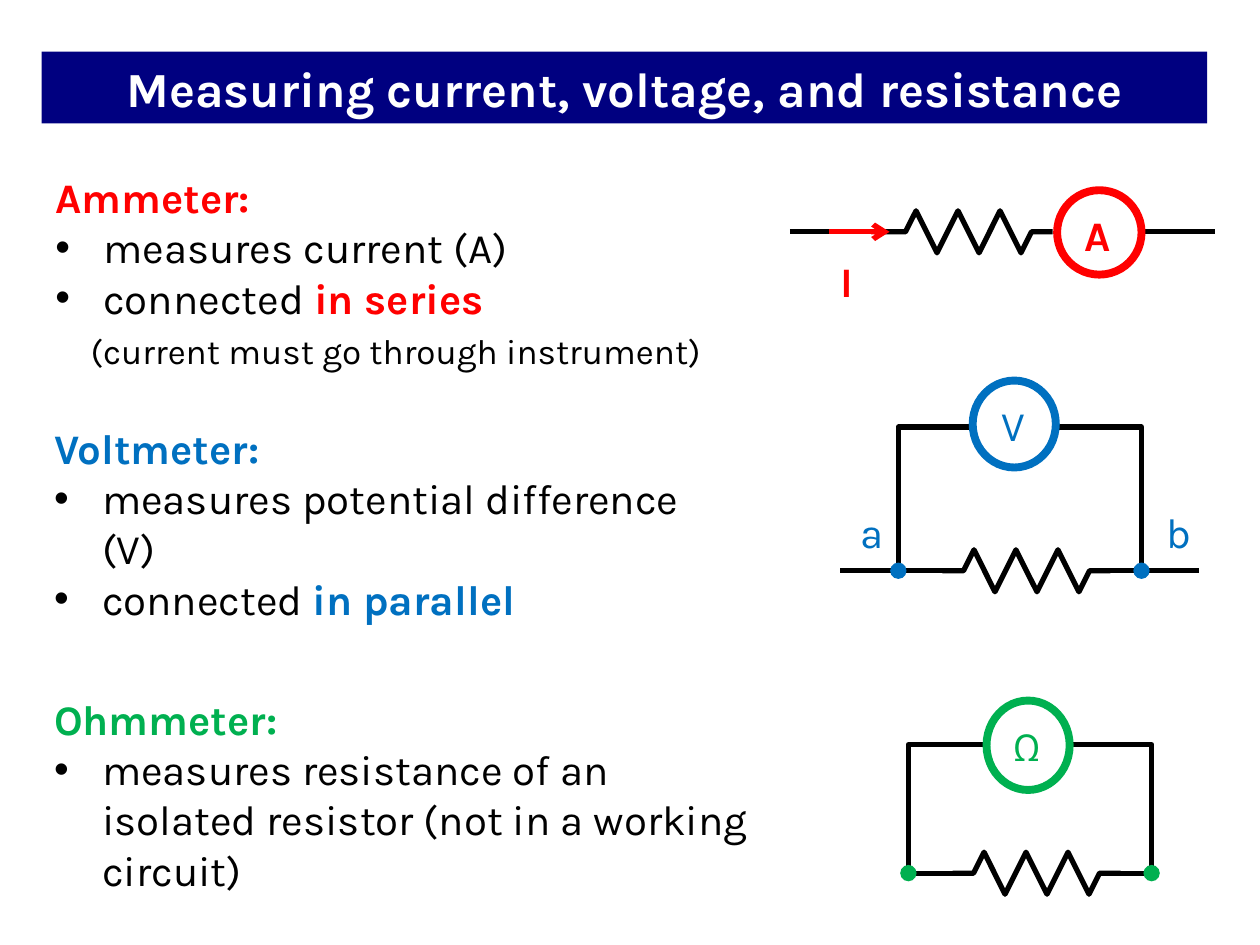
from dataclasses import dataclass

from lxml import etree
from pptx import Presentation
from pptx import util as u
from pptx.dml.color import RGBColor
from pptx.enum import shapes, text
from pptx.oxml import ns


@dataclass(frozen=True)
class Theme:
    font: str = "Karla"
    ink: str = "000000"
    paper: str = "FFFFFF"
    banner: str = "000080"
    ammeter: str = "FF0000"
    voltmeter: str = "0070C0"
    ohmmeter: str = "00B050"
    title_size: int = 28
    text_size: int = 24
    note_size: int = 20
    wire: float = 3
    ring: float = 4.5


THEME = Theme()
CELL = u.Inches(0.1)  # the slide is a grid of 100 columns by 75 rows
COLUMNS, ROWS = 100, 75
INDENT = u.Inches(0.38)
NODE_SPAN = 19.3  # columns between the two nodes of a parallel circuit
ZIGZAG_X = (0, 2, 3, 5, 7, 9, 11, 13, 14, 16)
ZIGZAG_Y = (0, 0, -1, 1, -1, 1, -1, 1, 0, 0)
ZIGZAG_COLUMN, ZIGZAG_ROW = 5 / 6, 5 / 3
ZIGZAG_WIDTH = ZIGZAG_X[-1] * ZIGZAG_COLUMN


def cells(*counts):
    return [u.Emu(round(count * CELL)) for count in counts]


def color(value):
    return RGBColor.from_string(value)


def style_run(run, size, ink, bold=False):
    run.font.name = THEME.font
    run.font.size = u.Pt(size)
    run.font.bold = bold
    run.font.color.rgb = color(ink)


def style_line(shape, ink, width):
    shape.line.color.rgb = color(ink)
    shape.line.width = u.Pt(width)


# Text
def place(shape, box):
    shape.left, shape.top, shape.width, shape.height = cells(*box)


def add_title(slide, wording, box):
    title = slide.shapes.title
    place(title, box)
    title.fill.solid()
    title.fill.fore_color.rgb = color(THEME.banner)
    frame = title.text_frame
    frame.text = wording
    frame.word_wrap = True
    frame.auto_size = text.MSO_AUTO_SIZE.NONE
    frame.vertical_anchor = text.MSO_ANCHOR.MIDDLE
    frame.paragraphs[0].alignment = text.PP_ALIGN.CENTER
    style_run(frame.paragraphs[0].runs[0], THEME.title_size, THEME.paper, True)


def set_bullet(paragraph, margin, bullet=None):
    properties = paragraph._p.get_or_add_pPr()
    properties.set("marL", str(margin))
    properties.set("indent", str(-margin if bullet else 0))
    if bullet:
        font = etree.SubElement(properties, ns.qn("a:buFont"))
        font.set("typeface", "Arial")
        etree.SubElement(properties, ns.qn("a:buChar")).set("char", bullet)
    else:
        etree.SubElement(properties, ns.qn("a:buNone"))


def add_line(paragraph, plain, strong, ink, size=THEME.text_size):
    paragraph.alignment = text.PP_ALIGN.LEFT
    paragraph.space_before = u.Pt(0)
    for wording, run_ink, bold in ((plain, THEME.ink, False), (strong, ink, True)):
        if wording:
            run = paragraph.add_run()
            run.text = wording
            style_run(run, size, run_ink, bold)


def add_list(placeholder, box, ink, heading, items, note=None):
    place(placeholder, box)
    frame = placeholder.text_frame
    frame.word_wrap = True
    frame.auto_size = text.MSO_AUTO_SIZE.NONE
    frame.vertical_anchor = text.MSO_ANCHOR.TOP
    set_bullet(frame.paragraphs[0], 0)
    add_line(frame.paragraphs[0], "", heading, ink)
    for plain, strong in items:
        paragraph = frame.add_paragraph()
        set_bullet(paragraph, INDENT, "•")
        add_line(paragraph, plain, strong, ink)
    if note:
        paragraph = frame.add_paragraph()
        set_bullet(paragraph, u.Inches(0.28))
        add_line(paragraph, note, "", ink, THEME.note_size)
        paragraph.space_before = u.Pt(4)


def add_label(slide, wording, box, ink, bold=False):
    frame = slide.shapes.add_textbox(*cells(*box)).text_frame
    frame.text = wording
    frame.word_wrap = False
    frame.paragraphs[0].alignment = text.PP_ALIGN.CENTER
    style_run(frame.paragraphs[0].runs[0], THEME.text_size, ink, bold)


# Circuit parts
def add_wire(slide, start, end, row, ink=THEME.ink, arrow=False):
    wire = slide.shapes.add_connector(
        shapes.MSO_CONNECTOR.STRAIGHT, *cells(start, row, end, row))
    style_line(wire, ink, THEME.wire)
    if arrow:
        head = etree.SubElement(wire.line._get_or_add_ln(), ns.qn("a:tailEnd"))
        head.set("type", "arrow")
    etree.SubElement(wire._element.spPr, ns.qn("a:effectLst"))


def add_outline(slide, points):
    start, *rest = [cells(*point) for point in points]
    builder = slide.shapes.build_freeform(*start, scale=1.0)
    builder.add_line_segments(rest, close=False)
    outline = builder.convert_to_shape()
    outline.shadow.inherit = False
    outline.fill.background()
    style_line(outline, THEME.ink, THEME.wire)


def add_resistor(slide, left, row):
    add_outline(slide, [(left + x * ZIGZAG_COLUMN, row + y * ZIGZAG_ROW)
                        for x, y in zip(ZIGZAG_X, ZIGZAG_Y)])


def add_circle(slide, box):
    circle = slide.shapes.add_shape(shapes.MSO_SHAPE.OVAL, *cells(*box))
    circle.shadow.inherit = False
    return circle


def add_meter(slide, symbol, box, ink, bold=False):
    left, top, width, height = box
    ring = add_circle(slide, box)
    ring.fill.solid()
    ring.fill.fore_color.rgb = color(THEME.paper)
    style_line(ring, ink, THEME.ring)
    add_label(slide, symbol, (left + width / 2 - 2.3, top + 1, 4.4, 5), ink, bold)


def add_node(slide, column, row, ink):
    size = 1.3
    node = add_circle(slide, (column - size / 2, row - size / 2, size, size))
    node.fill.solid()
    node.fill.fore_color.rgb = color(ink)
    node.line.fill.background()


def add_parallel_circuit(slide, symbol, node, row, top, meter, ink, overhang=0):
    far_node = node + NODE_SPAN
    resistor = node + 3.5
    add_resistor(slide, resistor, row)
    add_wire(slide, node - overhang, resistor + 0.4, row)
    add_wire(slide, resistor + ZIGZAG_WIDTH - 0.8, far_node + overhang, row)
    left, _, width, _ = meter
    for edge, column in ((left + 0.1, node), (left + width - 0.1, far_node)):
        add_outline(slide, [(edge, top), (column, top), (column, row)])
        add_node(slide, column, row, ink)
    add_meter(slide, symbol, meter, ink)


def main():
    presentation = Presentation()
    presentation.slide_width, presentation.slide_height = cells(COLUMNS, ROWS)
    slide = presentation.slides.add_slide(presentation.slide_layouts[4])
    red, blue, green = THEME.ammeter, THEME.voltmeter, THEME.ohmmeter

    # Title and the three lists
    add_title(slide, "Measuring current, voltage, and resistance",
              (3.3, 4.1, 92.5, 5.7))
    first, second, third, spare = list(slide.placeholders)[1:5]
    add_list(first, (3.4, 13.1, 55.8, 17.2), red, "Ammeter:",
             [("measures current (A)", ""), ("connected ", "in series")],
             "(current must go through instrument)")
    add_list(second, (3.3, 33, 55.3, 17.1), blue, "Voltmeter:",
             [("measures potential difference (V)", ""),
              ("connected ", "in parallel")])
    add_list(third, (3.3, 54.5, 57.5, 17.1), green, "Ohmmeter:",
             [("measures resistance of an isolated resistor "
               "(not in a working circuit)", "")])
    spare._element.getparent().remove(spare._element)

    # Ammeter in series
    row = 18.4
    add_resistor(slide, 70.2, row)
    add_wire(slide, 62.7, 70.6, row)
    add_wire(slide, 90.6, 96.4, row)
    add_meter(slide, "A", (83.9, 15.1, 6.7, 6.7), red, True)
    add_wire(slide, 65.8, 70.6, row, red, arrow=True)
    add_label(slide, "I", (65.4, 19.8, 3.6, 5.1), red, True)

    # Voltmeter in parallel
    add_parallel_circuit(slide, "V", 71.3, 45.3, 33.9,
                         (77.2, 30.2, 6.6, 6.9), blue, overhang=4.6)
    add_label(slide, "a", (67.3, 39.7, 3.8, 5), blue)
    add_label(slide, "b", (91.6, 39.7, 3.9, 5), blue)

    # Ohmmeter on an isolated resistor
    add_parallel_circuit(slide, "Ω", 72.1, 69.3, 59.1,
                         (78.3, 55.6, 6.6, 7.1), green)

    presentation.save("out.pptx")


if __name__ == "__main__":
    main()
